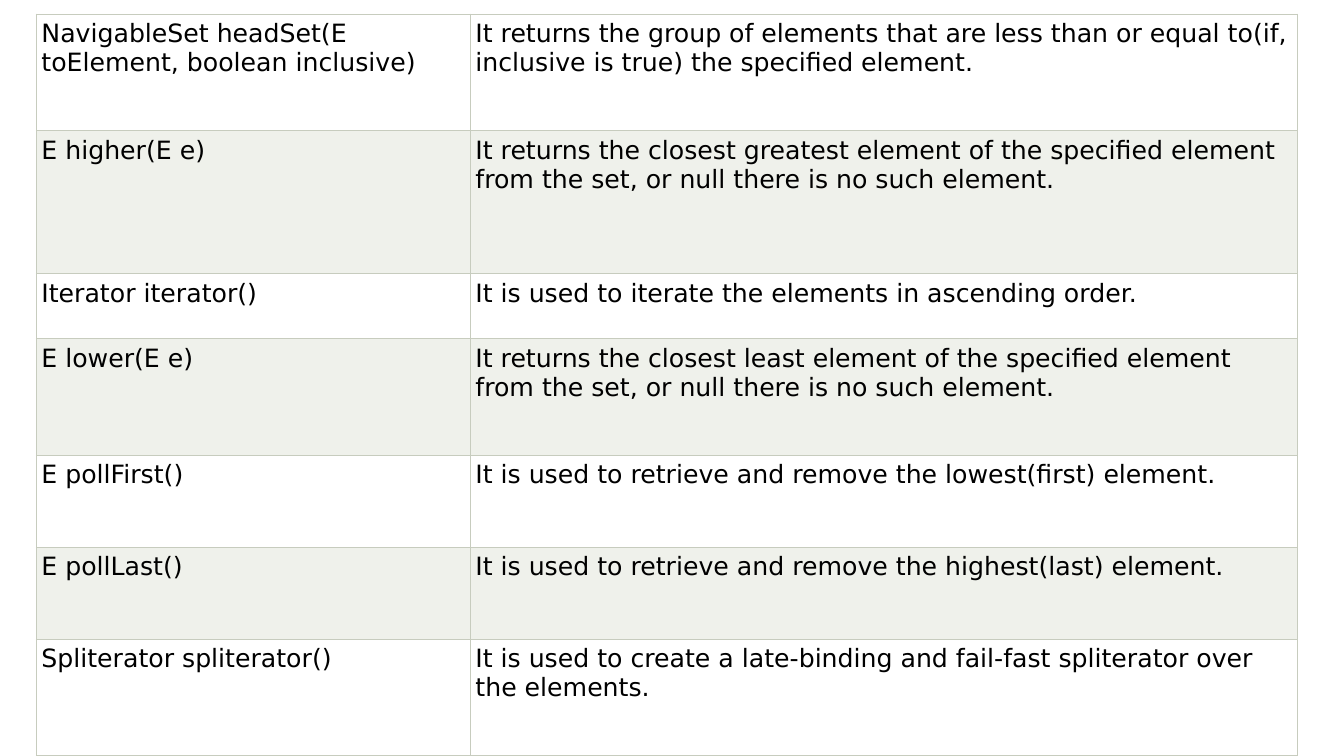
"""Build the slide with the table of sorted set methods."""
from pptx import Presentation
from pptx import oxml
from pptx.dml.color import RGBColor
from pptx.oxml import ns
from pptx.util import Pt

HUES = {"text": "000000", "plain": "FFFFFF", "band": "EFF1EB", "rule": "C7CCBE"}
ROWS = [
    (83.5, "NavigableSet headSet(E toElement, boolean inclusive)",
     "It returns the group of elements that are less than or equal to(if, "
     "inclusive is true) the specified element."),
    (102, "E higher(E e)",
     "It returns the closest greatest element of the specified element "
     "from the set, or null there is no such element."),
    (46.5, "Iterator iterator()",
     "It is used to iterate the elements in ascending order."),
    (83.5, "E lower(E e)",
     "It returns the closest least element of the specified element "
     "from the set, or null there is no such element."),
    (65.5, "E pollFirst()",
     "It is used to retrieve and remove the lowest(first) element."),
    (65.5, "E pollLast()",
     "It is used to retrieve and remove the highest(last) element."),
    (83.5, "Spliterator spliterator()",
     "It is used to create a late-binding and fail-fast spliterator over "
     "the elements."),
]
WIDTHS = [310, 590.5]


def edge(cell, side):
    cell._tc.get_or_add_tcPr().append(oxml.parse_xml(
        f'<a:ln{side} {ns.nsdecls("a")} w="{Pt(0.75)}"><a:solidFill>'
        f'<a:srgbClr val="{HUES["rule"]}"/></a:solidFill></a:ln{side}>'))


deck = Presentation()
deck.slide_width, deck.slide_height = Pt(960), Pt(540)
slide = deck.slides.add_slide(deck.slide_layouts[6])

high = sum(row[0] for row in ROWS)
frame = slide.shapes.add_table(
    len(ROWS), len(WIDTHS), Pt(26), Pt(10), Pt(sum(WIDTHS)), Pt(high))
table = frame.table
table.first_row = False
for col, width in zip(table.columns, WIDTHS):
    col.width = Pt(width)

for i, (height, *words) in enumerate(ROWS):
    table.rows[i].height = Pt(height)
    for j, word in enumerate(words):
        cell = table.cell(i, j)
        cell.margin_left = cell.margin_right = Pt(3.6)
        cell.margin_top = cell.margin_bottom = Pt(3.6)
        for side in "LRTB":
            edge(cell, side)
        cell.fill.solid()
        cell.fill.fore_color.rgb = RGBColor.from_string(
            HUES["band" if i % 2 else "plain"])
        cell.text = word
        font = cell.text_frame.paragraphs[0].font
        font.name, font.size = "DejaVu Sans", Pt(18)
        font.color.rgb = RGBColor.from_string(HUES["text"])

deck.save("out.pptx")
